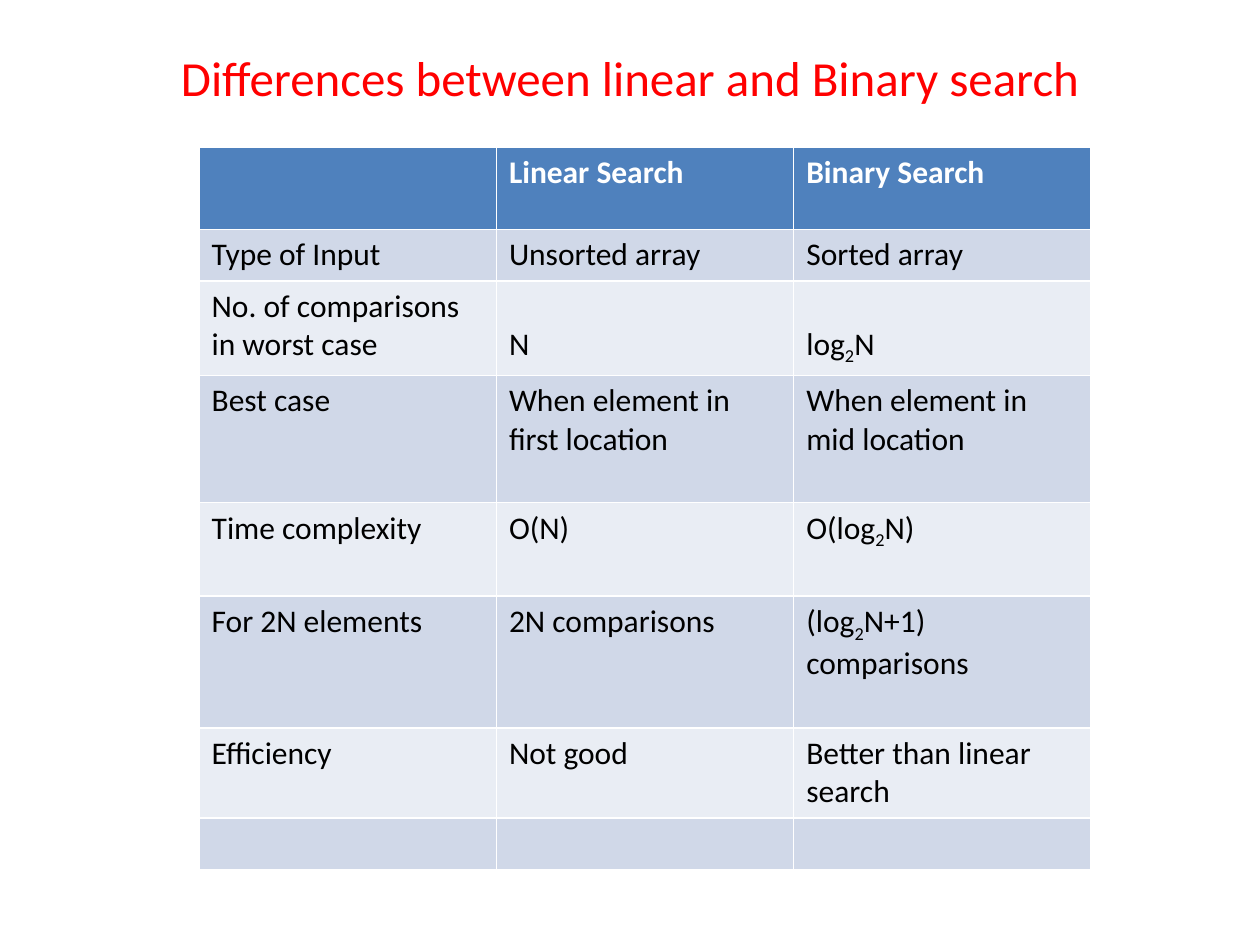
"""Build a slide with a table comparing linear and binary search."""
from dataclasses import dataclass

import pptx
import pptx.dml.color
import pptx.enum.text
import pptx.util

WIDTH, HEIGHT = pptx.util.Inches(10), pptx.util.Inches(7.5)
FONT = "Calibri"
HEADER, BANDS = "4F81BD", ("D0D8E8", "E9EDF4")
COLUMN = 0.236


@dataclass
class Row:
    """Cell texts with subscripts between bars, height and top margin in inches."""
    cells: tuple[str, str, str]
    height: float
    value_top: float = 0.05


ROWS = [
    Row(("", "Linear Search", "Binary Search"), 0.65),
    Row(("Type of Input", "Unsorted array", "Sorted array"), 0.41),
    Row(("No. of comparisons in worst case", "N", "log|2|N"), 0.75, 0.35),
    Row(("Best case", "When element in first location", "When element in mid location"), 1.01),
    Row(("Time complexity", "O(N)", "O(log|2|N)"), 0.74),
    Row(("For 2N elements", "2N comparisons", "(log|2|N+1) comparisons"), 1.05),
    Row(("Efficiency", "Not good", "Better than linear search"), 0.71),
    Row(("", "", ""), 0.41),
]


def rgb(color: str) -> pptx.dml.color.RGBColor:
    """Turn a hex string into a colour."""
    return pptx.dml.color.RGBColor.from_string(color)


def add_run(p, text: str, size: float, color: str, bold: bool = False, subscript: bool = False) -> None:
    """Add one formatted run to a paragraph."""
    r = p.add_run()
    r.text = text
    r.font.name, r.font.size, r.font.bold = FONT, pptx.util.Pt(size), bold
    r.font.color.rgb = rgb(color)
    if subscript:
        r.font._element.set("baseline", "-25000")


def add_title(s, text: str) -> None:
    """Place and fill the title placeholder."""
    sp = s.shapes.title
    sp.left, sp.top = int(WIDTH * 0.05), int(HEIGHT * 0.04)
    sp.width, sp.height = int(WIDTH * 0.9), pptx.util.Inches(0.62)
    tf = sp.text_frame
    tf.vertical_anchor = pptx.enum.text.MSO_ANCHOR.MIDDLE
    p = tf.paragraphs[0]
    p.alignment = pptx.enum.text.PP_ALIGN.CENTER
    add_run(p, text, 28, "FF0000")


def fill_cell(cell, text: str, fill: str, color: str, bold: bool, top: float) -> None:
    """Colour a cell and write its text, lowering every second part."""
    cell.fill.solid()
    cell.fill.fore_color.rgb = rgb(fill)
    cell.margin_top = pptx.util.Inches(top)
    p = cell.text_frame.paragraphs[0]
    p.font.size = pptx.util.Pt(18)
    if text:
        for i, part in enumerate(text.split("|")):
            add_run(p, part, 18, color, bold, subscript=i % 2 == 1)


def add_comparison(s, rows: list[Row]) -> None:
    """Add the comparison table."""
    columns = len(rows[0].cells)
    height = pptx.util.Inches(sum(row.height for row in rows))
    table = s.shapes.add_table(
        len(rows), columns, int(WIDTH * 0.158), int(HEIGHT * 0.156),
        int(WIDTH * COLUMN * columns), height).table
    for column in table.columns:
        column.width = int(WIDTH * COLUMN)
    for i, row in enumerate(rows):
        table.rows[i].height = pptx.util.Inches(row.height)
        header = i == 0
        fill = HEADER if header else BANDS[(i - 1) % 2]
        color = "FFFFFF" if header else "000000"
        for j, text in enumerate(row.cells):
            top = row.value_top if j else 0.05
            fill_cell(table.cell(i, j), text, fill, color, header, top)


def main() -> None:
    """Build and save the presentation."""
    prs = pptx.Presentation()
    prs.slide_width, prs.slide_height = WIDTH, HEIGHT
    s = prs.slides.add_slide(prs.slide_layouts[5])
    add_title(s, "Differences between linear and Binary search")
    add_comparison(s, ROWS)
    prs.save("out.pptx")


if __name__ == "__main__":
    main()
